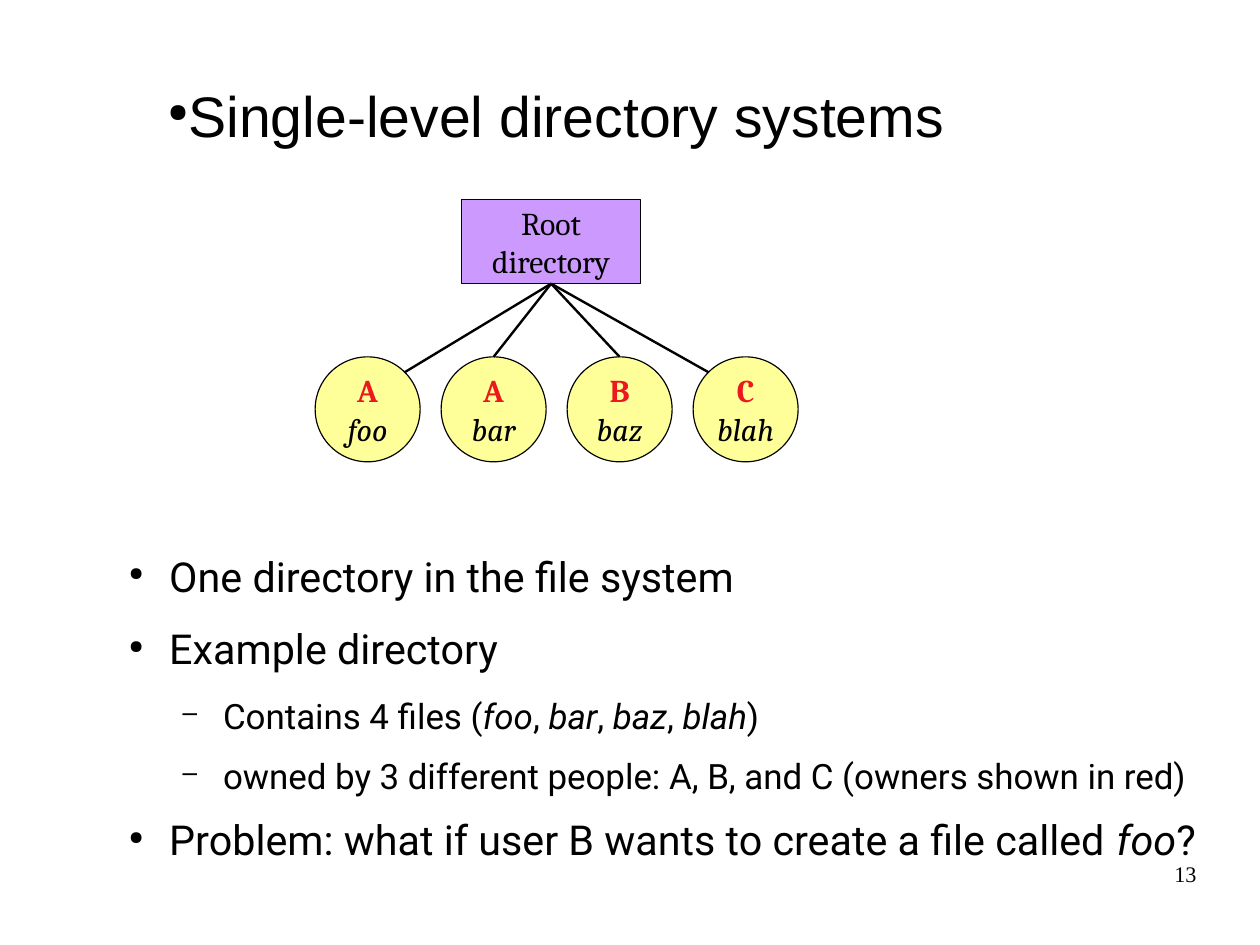
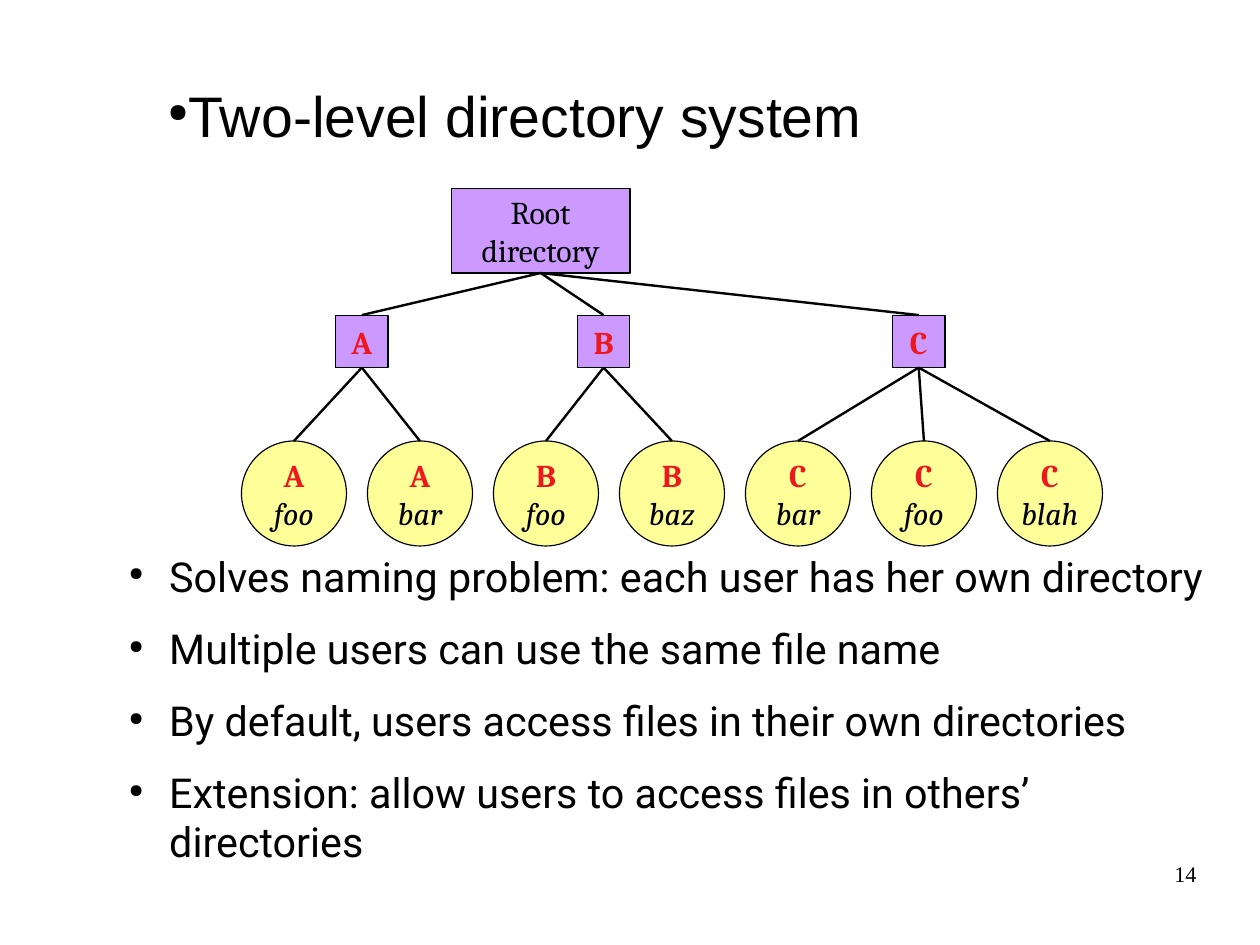
from dataclasses import dataclass
from math import sqrt

from lxml import etree
from pptx import Presentation
from pptx.dml.color import RGBColor
from pptx.enum.shapes import MSO_CONNECTOR, MSO_SHAPE
from pptx.enum.text import MSO_ANCHOR, PP_ALIGN
from pptx.oxml.ns import qn
from pptx.util import Pt

STRAIGHT = MSO_CONNECTOR.STRAIGHT
RECTANGLE, OVAL = MSO_SHAPE.RECTANGLE, MSO_SHAPE.OVAL
TOP, MIDDLE = MSO_ANCHOR.TOP, MSO_ANCHOR.MIDDLE
LEFT, CENTER, RIGHT = PP_ALIGN.LEFT, PP_ALIGN.CENTER, PP_ALIGN.RIGHT
TOP_SITE, BOTTOM_SITE = 0, 2


@dataclass(frozen=True)
class Theme:
    ink: str = "000000"
    owner: str = "ED181E"
    directory: str = "CC99FF"
    file: str = "FFFF99"
    title_font: str = "Arial"
    body_font: str = "Roboto"
    node_font: str = "Cambria"
    number_font: str = "Times New Roman"
    title_size: float = 36
    body_sizes: tuple = (26, 22)
    node_size: float = 20
    number_size: float = 14
    outline: float = 0.75
    branch: float = 1.5


THEME = Theme()
SLIDE_SIZE = (793.7, 595.3)
ROOT_SIZE = (112.6, 53)
OWNER_SIDE = 33.07
FILE_SIDE = 66.14
FILE_PITCH = 79.37
BULLET_LEVELS = (
    {"mark": "●", "scale": 45, "left": 33.9, "hanging": 25.4, "after": 14.2},
    {"mark": "–", "scale": 75, "left": 67.8, "hanging": 25.4, "after": 11.3},
)


def write(para, text, font, size, color=THEME.ink, bold=False, italic=False):
    for index, line in enumerate(text.split("\n")):
        if index:
            para.add_line_break()
        if line:
            span = para.add_run()
            span.text = line
            span.font.name = font
            span.font.size = Pt(size)
            span.font.bold = bold
            span.font.italic = italic
            span.font.color.rgb = RGBColor.from_string(color)


def set_bullet(para, mark, scale, left=0, hanging=0, after=0):
    para.space_after = Pt(after)
    properties = para._p.get_or_add_pPr()
    properties.set("marL", str(Pt(left)))
    properties.set("indent", str(-Pt(hanging)))
    etree.SubElement(properties, qn("a:buSzPct"), val=str(scale * 1000))
    etree.SubElement(properties, qn("a:buChar"), char=mark)


def add_text_box(page, left, top, width, height, anchor=TOP, align=LEFT):
    box = page.shapes.add_textbox(Pt(left), Pt(top), Pt(width), Pt(height))
    frame = box.text_frame
    frame.word_wrap = True
    frame.vertical_anchor = anchor
    frame.margin_left = frame.margin_right = frame.margin_top = frame.margin_bottom = 0
    frame.paragraphs[0].alignment = align
    return frame


def add_title(page, text):
    para = add_text_box(page, 105.8, 46, 674.6, 52.6, anchor=MIDDLE).paragraphs[0]
    set_bullet(para, "●", 45)
    write(para, text, THEME.title_font, THEME.title_size)


def add_bullets(page, items):
    frame = add_text_box(page, 72.7, 347, 705, 208)
    for index, (level, text) in enumerate(items):
        para = frame.add_paragraph() if index else frame.paragraphs[0]
        para.level = level
        set_bullet(para, **BULLET_LEVELS[level])
        for part, piece in enumerate(text.split("*")):
            write(para, piece, THEME.body_font, THEME.body_sizes[level], italic=part % 2 == 1)


def add_page_number(page, number):
    para = add_text_box(page, 568.8, 542.2, 185, 41, align=RIGHT).paragraphs[0]
    write(para, str(number), THEME.number_font, THEME.number_size)


def add_node(page, kind, left, top, width, height, fill, owner="", name="", italic=False):
    node = page.shapes.add_shape(kind, Pt(left), Pt(top), Pt(width), Pt(height))
    node.shadow.inherit = False
    node.fill.solid()
    node.fill.fore_color.rgb = RGBColor.from_string(fill)
    node.line.color.rgb = RGBColor.from_string(THEME.ink)
    node.line.width = Pt(THEME.outline)
    frame = node.text_frame
    frame.word_wrap = False
    frame.vertical_anchor = MIDDLE
    frame.margin_left = frame.margin_right = Pt(7.9)
    frame.margin_top = frame.margin_bottom = Pt(4.3)
    para = frame.paragraphs[0]
    para.alignment = CENTER
    write(para, owner, THEME.node_font, THEME.node_size, color=THEME.owner, bold=True)
    write(para, name, THEME.node_font, THEME.node_size, italic=italic)
    return node


def add_root(page, left, top):
    return add_node(page, RECTANGLE, left, top, *ROOT_SIZE, THEME.directory,
                    name="Root\ndirectory")


def add_owner(page, owner, left, top):
    return add_node(page, RECTANGLE, left, top, OWNER_SIDE, OWNER_SIDE,
                    THEME.directory, owner=owner)


def add_files(page, files, left, top):
    return [
        add_node(page, OVAL, left + index * FILE_PITCH, top, FILE_SIDE, FILE_SIDE,
                 THEME.file, owner=owner + "\n", name=name, italic=True)
        for index, (owner, name) in enumerate(files)
    ]


def add_branch(page, parent, child, side=0):
    radius = child.width / 2
    end_x = child.left + radius + side * radius / sqrt(2)
    end_y = child.top + abs(side) * radius * (1 - 1 / sqrt(2))
    branch = page.shapes.add_connector(STRAIGHT, 0, 0, int(end_x), int(end_y))
    branch.begin_connect(parent, BOTTOM_SITE)
    if not side:
        branch.end_connect(child, TOP_SITE)
    branch.line.color.rgb = RGBColor.from_string(THEME.ink)
    branch.line.width = Pt(THEME.branch)
    etree.SubElement(branch._element.spPr, qn("a:effectLst"))


def add_page(deck, number, title, bullets):
    page = deck.slides.add_slide(deck.slide_layouts[6])
    add_page_number(page, number)
    add_title(page, title)
    add_bullets(page, bullets)
    return page


def add_single_level_page(deck):
    page = add_page(deck, 13, "Single-level directory systems", [
        (0, "One directory in the file system"),
        (0, "Example directory"),
        (1, "Contains 4 files (*foo*, *bar*, *baz*, *blah*)"),
        (1, "owned by 3 different people: A, B, and C (owners shown in red)"),
        (0, "Problem: what if user B wants to create a file called *foo*?"),
    ])
    root = add_root(page, 290.9, 125.7)
    files = [("A", "foo"), ("A", "bar"), ("B", "baz"), ("C", "blah")]
    nodes = add_files(page, files, 198.5, 224.8)
    for node, side in zip(nodes, (1, 0, 0, -1)):
        add_branch(page, root, node, side)


def add_two_level_page(deck):
    page = add_page(deck, 14, "Two-level directory system", [
        (0, "Solves naming problem: each user has her own directory"),
        (0, "Multiple users can use the same file name"),
        (0, "By default, users access files in their own directories"),
        (0, "Extension: allow users to access files in others’ directories"),
    ])
    root = add_root(page, 284.3, 119)
    owners = {
        owner: add_owner(page, owner, left, 198.5)
        for owner, left in (("A", 211.4), ("B", 363.7), ("C", 562.2))
    }
    for node in owners.values():
        add_branch(page, root, node)
    files = [("A", "foo"), ("A", "bar"), ("B", "foo"), ("B", "baz"),
             ("C", "bar"), ("C", "foo"), ("C", "blah")]
    nodes = add_files(page, files, 152.1, 277.8)
    for (owner, _), node in zip(files, nodes):
        add_branch(page, owners[owner], node)


def main():
    deck = Presentation()
    deck.slide_width, deck.slide_height = map(Pt, SLIDE_SIZE)
    add_single_level_page(deck)
    add_two_level_page(deck)
    deck.save("out.pptx")


if __name__ == "__main__":
    main()
